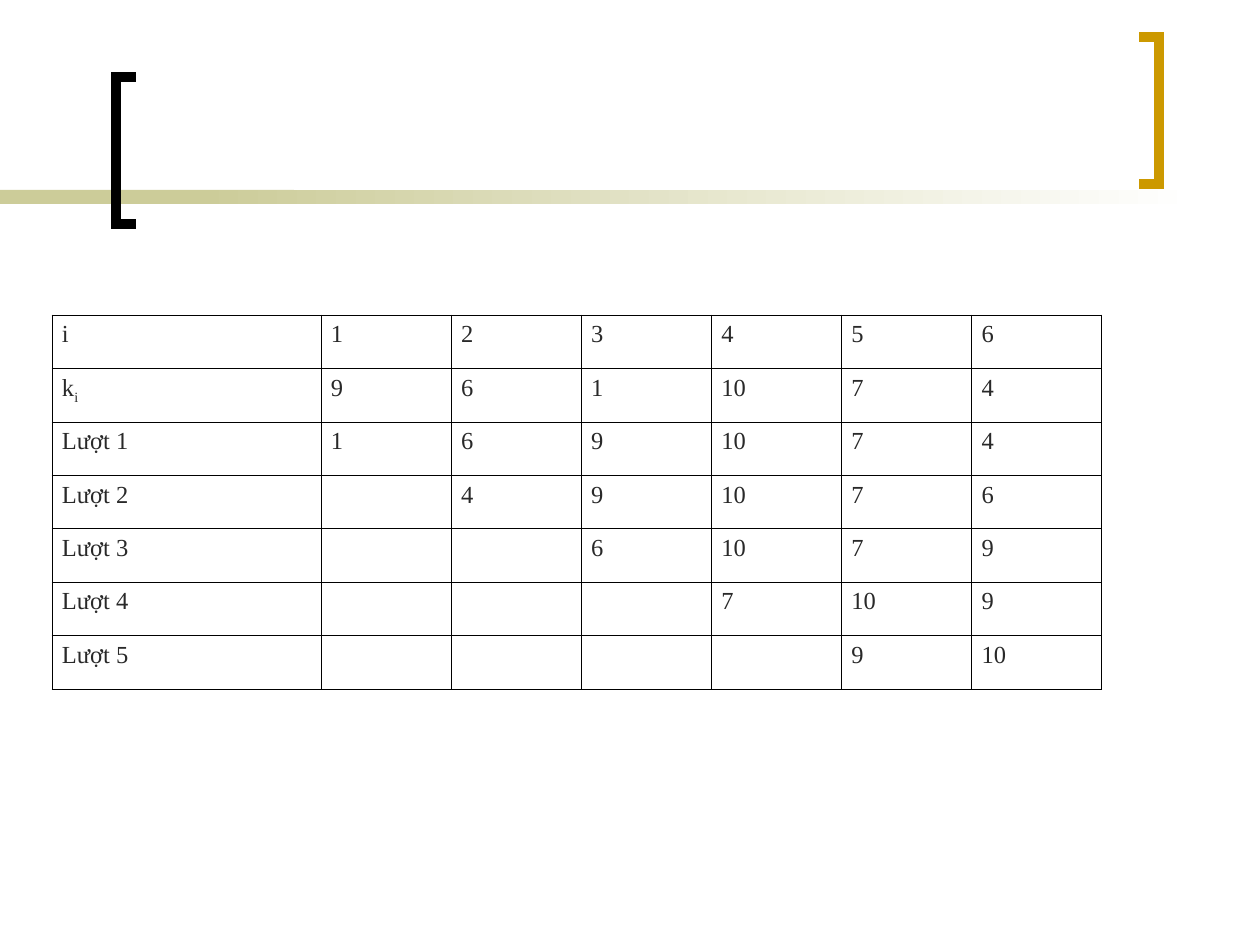
from dataclasses import dataclass

from lxml.etree import SubElement
from pptx import Presentation
from pptx.dml.color import RGBColor
from pptx.enum.shapes import MSO_SHAPE
from pptx.oxml.ns import qn
from pptx.util import Pt

SCALE = 914400 / 126  # EMU in one px


@dataclass(frozen=True)
class Theme:
    band: str = "CCCC99"
    fade: str = "FFFFFF"
    left: str = "000000"
    right: str = "CC9900"
    text: str = "292929"
    rule: str = "000000"
    face: str = "Times New Roman"
    size: float = 14
    thick: float = 6
    thin: float = 0.45


THEME = Theme()
FONT = {"name": THEME.face, "size": Pt(THEME.size)}
INSET = {"margin_left": 10, "margin_right": 10, "margin_top": 6, "margin_bottom": 6}
FLAGS = {"first_row": False, "horz_banding": False}

# Selection sort: each pass drops the cells that are already settled
HEAD = ["i", "1", "2", "3", "4", "5", "6"]
KEYS = ["9", "6", "1", "10", "7", "4"]
PASSES = [
    ["1", "6", "9", "10", "7", "4"],
    ["4", "9", "10", "7", "6"],
    ["6", "10", "7", "9"],
    ["7", "10", "9"],
    ["9", "10"],
]


def px(n):
    return round(n * SCALE)


def rgb(code):
    return RGBColor.from_string(code)


def style(item, values):
    for name, value in values.items():
        setattr(item, name, value)


def add_band(slide, x, width, fade=None):
    band = slide.shapes.add_shape(
        MSO_SHAPE.RECTANGLE, px(x), px(190), px(width), px(14))
    band.shadow.inherit = False
    band.line.fill.background()
    if fade:
        band.fill.gradient()
        band.fill.gradient_angle = 0
        for stop, code in zip(band.fill.gradient_stops, (THEME.band, fade)):
            stop.color.rgb = rgb(code)
    else:
        band.fill.solid()
        band.fill.fore_color.rgb = rgb(THEME.band)


def add_bracket(slide, tip, back, top, color):
    low = top + 147
    path = slide.shapes.build_freeform(tip, top, scale=SCALE)
    path.add_line_segments([(back, top), (back, low), (tip, low)], close=False)
    shape = path.convert_to_shape()
    shape.shadow.inherit = False
    shape.fill.background()
    shape.line.color.rgb = rgb(color)
    shape.line.width = Pt(THEME.thick)
    SubElement(shape.line._get_or_add_ln(), qn("a:miter"), lim="800000")


def add_run(para, text, base=None):
    run = para.add_run()
    run.text = text
    style(run.font, FONT)
    run.font.color.rgb = rgb(THEME.text)
    if base:
        run._r.get_or_add_rPr().set("baseline", str(base))


def add_edges(cell):
    props = cell._tc.get_or_add_tcPr()
    for at, side in enumerate(("lnL", "lnR", "lnT", "lnB")):
        line = props.makeelement(qn(f"a:{side}"), {"w": str(Pt(THEME.thin))})
        fill = SubElement(line, qn("a:solidFill"))
        SubElement(fill, qn("a:srgbClr"), val=THEME.rule)
        props.insert(at, line)


def add_grid(slide, rows):
    wide, first = 1050, 269
    count = len(rows[0])
    table = slide.shapes.add_table(
        len(rows), count, px(52), px(315), px(wide), px(374)).table
    style(table, FLAGS)
    for i, col in enumerate(table.columns):
        col.width = px((wide - first) / (count - 1)) if i else px(first)
    for r, row in enumerate(rows):
        for c, text in enumerate(row):
            cell = table.cell(r, c)
            style(cell, {name: px(n) for name, n in INSET.items()})
            cell.fill.background()
            add_edges(cell)
            if text:
                add_run(cell.text_frame.paragraphs[0], text)
    # Subscript of the key label
    add_run(table.cell(1, 0).text_frame.paragraphs[0], "i", -25000)


def main():
    deck = Presentation()
    style(deck, {"slide_width": px(1260), "slide_height": px(945)})
    slide = deck.slides.add_slide(deck.slide_layouts[6])

    # Title ornament
    add_band(slide, 0, 294)
    add_band(slide, 199, 998, THEME.fade)
    add_bracket(slide, 136, 116, 77, THEME.left)
    add_bracket(slide, 1139, 1159, 37, THEME.right)

    # Trace of the sort
    trace = [[f"Lượt {n}"] + [""] * (n - 1) + keys
             for n, keys in enumerate(PASSES, 1)]
    add_grid(slide, [HEAD, ["k"] + KEYS] + trace)

    deck.save("out.pptx")


if __name__ == "__main__":
    main()
